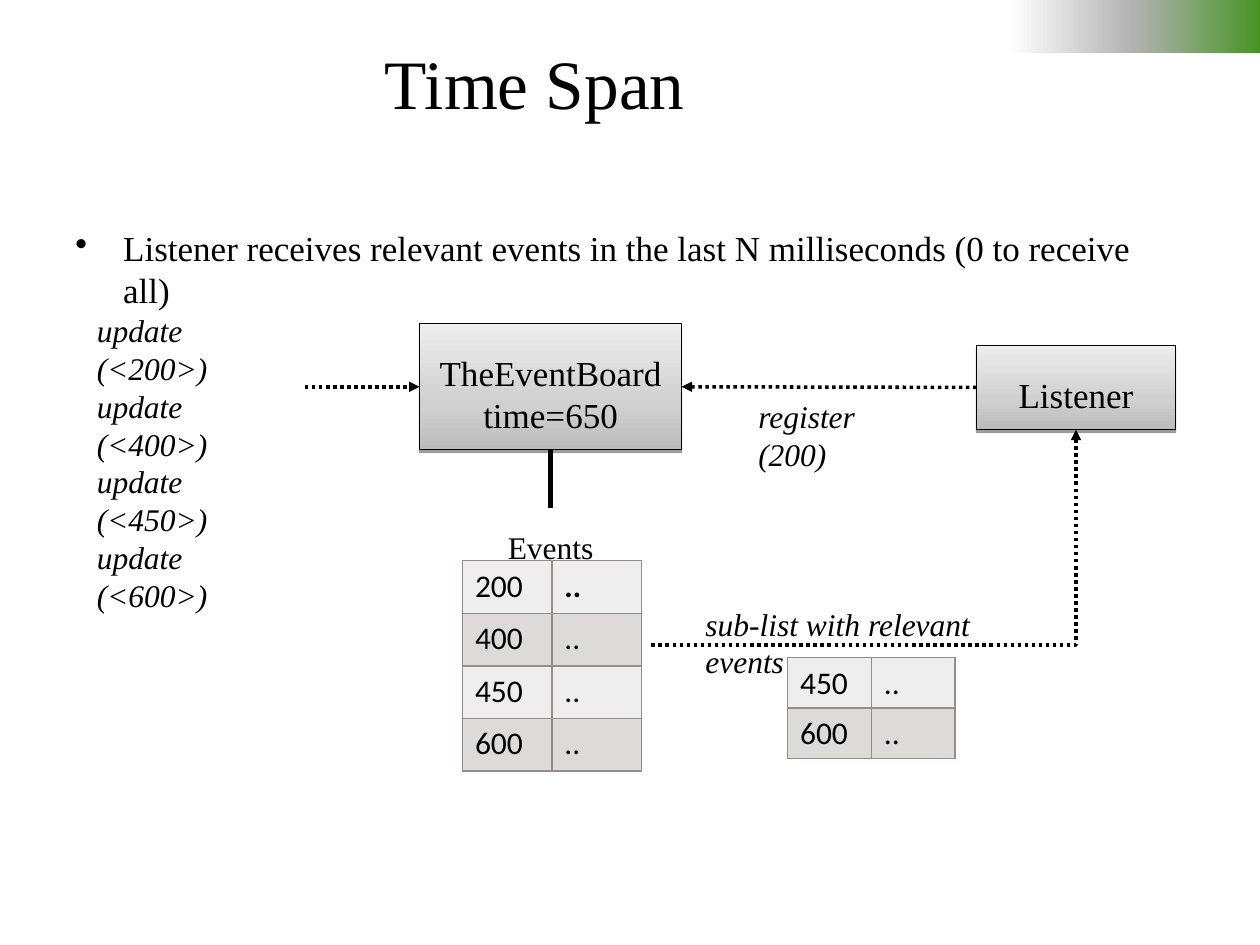
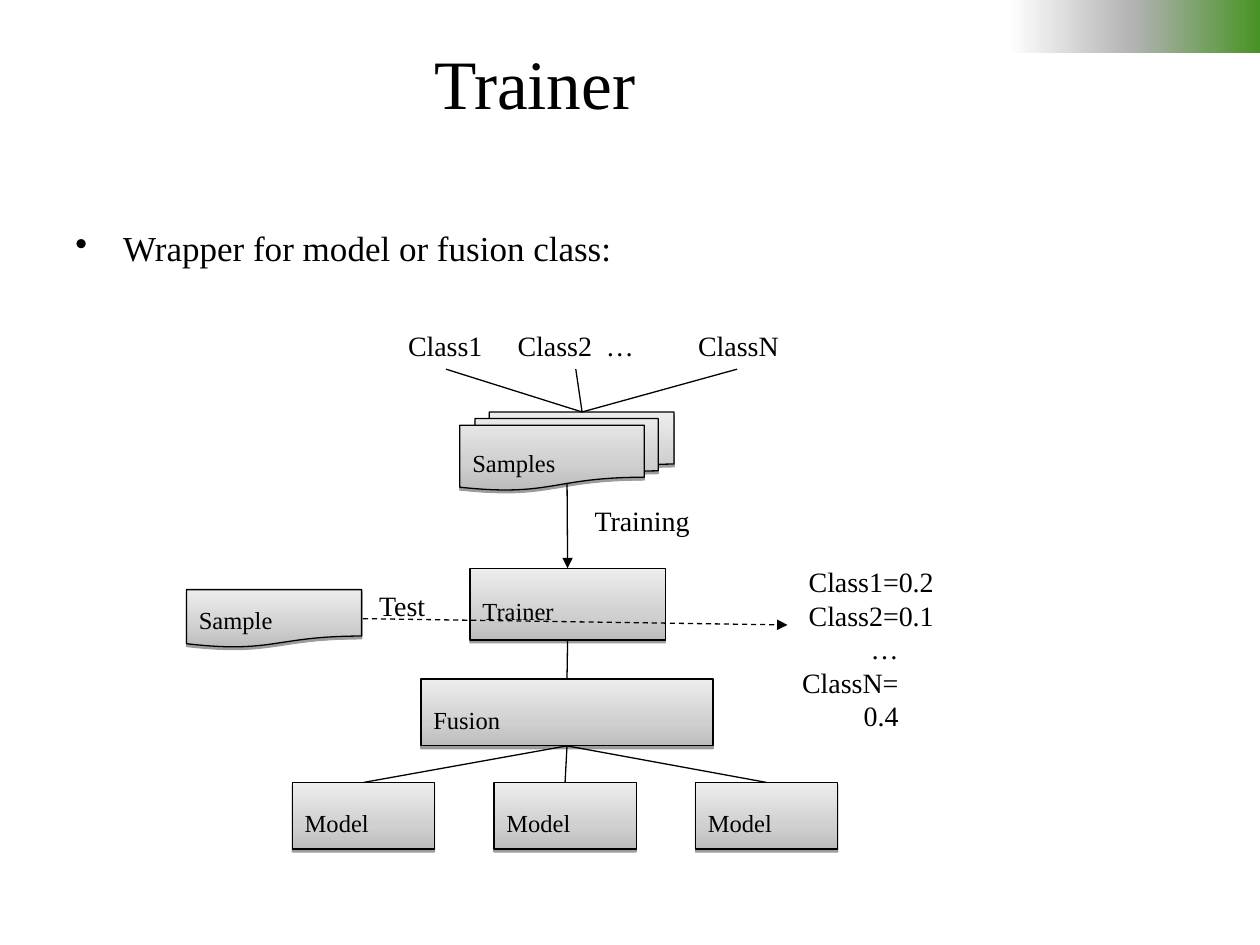
from pptx import Presentation
from pptx import util as u
from pptx.dml.color import RGBColor
from pptx.enum import dml, shapes, text
from pptx.oxml import parse_xml
from pptx.oxml.ns import nsdecls, qn

SERIF, SANS = "Times New Roman", "Calibri"
BLACK, WHITE, EDGE = "000000", "FFFFFF", "968C8C"
ROWS = ("EFEEEE", "DDDADA")
BAND = [(80, WHITE), (90, "B2B2B2"), (100, "489324")]
STEEL = [(0, "BCBCBC"), (35, "D0D0D0"), (100, "EDEDED")]
LEFT, MID, RIGHT = text.PP_ALIGN.LEFT, text.PP_ALIGN.CENTER, text.PP_ALIGN.RIGHT
RECT = shapes.MSO_SHAPE.RECTANGLE
DOC, DOCS = shapes.MSO_SHAPE.FLOWCHART_DOCUMENT, shapes.MSO_SHAPE.FLOWCHART_MULTIDOCUMENT
DOT, DASH = dml.MSO_LINE.ROUND_DOT, dml.MSO_LINE.DASH
DEEP = 0.16

SPAN = {
    "title": "Time Span",
    "point": "Listener receives relevant events in the last N milliseconds (0 to receive all)",
    "board": (["TheEventBoard", "time=650"], (3.33, 2.57, 2.08, 1)),
    "hearer": (["Listener"], (7.75, 2.74, 1.58, 0.67)),
    "events": (["200", "400", "450", "600"], (3.67, 4.45, 1.42, 1.67)),
    "recent": (["450", "600"], (6.25, 5.22, 1.33, 0.8)),
    "notes": [
        (["register (200)"], (5.92, 3.1, 1.5, 0.4)),
        ([f"update (<{n}>)" for n in (200, 400, 450, 600)], (0.67, 2.42, 1.76, 1.31)),
        (["sub-list with relevant events"], (5.5, 4.75, 2.91, 0.4)),
    ],
}
TRAIN = {
    "title": "Trainer",
    "point": "Wrapper for model or fusion class:",
    "boxes": {
        "Samples": (DOCS, (3.65, 3.27, 1.7, 0.62)),
        "Sample": (DOC, (1.48, 4.68, 1.39, 0.46)),
        "Trainer": (RECT, (3.73, 4.51, 1.55, 0.57)),
        "Fusion": (RECT, (3.34, 5.39, 2.32, 0.53)),
    },
    "model": ("Model", 3, 1.6, (2.32, 6.21, 1.13, 0.53)),
    "labels": [
        (["Training"], (4.62, 3.84, 0.98, 0.48), LEFT),
        (["Test"], (2.91, 4.51, 0.59, 0.48), LEFT),
        (["Class1"], (3.14, 2.45, 0.8, 0.48), LEFT),
        (["Class2\t…"], (4.01, 2.45, 1.24, 0.48), LEFT),
        (["ClassN"], (5.42, 2.45, 0.86, 0.48), RIGHT),
    ],
    "scores": (["Class1=0.2", "Class2=0.1", "…", "ClassN=0.4"], (6.25, 4.32, 1.26, 1.29), RIGHT),
    "feeds": [3.54, 4.57, 5.85],
}


def color(code):
    return RGBColor.from_string(code)


def spot(area):
    return [u.Inches(n) for n in area]


def edge(area, across, down):
    x, y, w, h = area
    return x + w * across, y + h * down


def write(shape, lines, size, align=LEFT, anchor=text.MSO_ANCHOR.TOP, top=0.05, italic=False):
    frame = shape.text_frame
    frame.word_wrap = True
    frame.vertical_anchor = anchor
    frame.margin_top = u.Inches(top)
    frame.text = "\n".join(lines)
    for para in frame.paragraphs:
        para.alignment = align
        style(para, size, SERIF, italic)
    return frame.paragraphs


def style(para, size, face, italic=False):
    font = para.font
    font.size, font.name, font.italic = u.Pt(size), face, italic
    font.color.rgb = color(BLACK)


def label(slide, lines, area, size, **opts):
    return write(slide.shapes.add_textbox(*spot(area)), lines, size, **opts)


def shade(shape, stops, angle):
    shape.shadow.inherit = False
    shape.fill.gradient()
    shape.fill.gradient_angle = angle
    items = "".join(
        f'<a:gs pos="{pos * 1000}"><a:srgbClr val="{code}"/></a:gs>' for pos, code in stops)
    old = next(shape.element.iter(qn("a:gsLst")))
    old.getparent().replace(old, parse_xml(f'<a:gsLst {nsdecls("a")}>{items}</a:gsLst>'))


def box(slide, lines, area, size, align=LEFT, kind=RECT):
    shape = slide.shapes.add_shape(kind, *spot(area))
    shade(shape, STEEL, 90)
    shape.line.color.rgb = color(BLACK)
    shape.line.width = u.Pt(0.75)
    shape.element.spPr.find(qn("a:effectLst")).append(parse_xml(
        f'<a:outerShdw {nsdecls("a")} blurRad="0" dist="{u.Pt(1.6)}" dir="5400000" rotWithShape="0">'
        f'<a:srgbClr val="{BLACK}"><a:alpha val="38000"/></a:srgbClr></a:outerShdw>'))
    write(shape, lines, size, align, text.MSO_ANCHOR.MIDDLE, DEEP)


def link(slide, start, end, width=0.75, dash=None, arrow=False, bent=False):
    kind = shapes.MSO_CONNECTOR.ELBOW if bent else shapes.MSO_CONNECTOR.STRAIGHT
    wire = slide.shapes.add_connector(kind, *spot(start + end))
    wire.line.color.rgb = color(BLACK)
    wire.line.width = u.Pt(width)
    wire.line.dash_style = dash
    props = wire.element.spPr
    if bent:
        props.find(qn("a:prstGeom")).set("prst", "bentConnector2")
    if arrow:
        props.find(qn("a:ln")).append(parse_xml(f'<a:tailEnd {nsdecls("a")} type="triangle"/>'))
    props.append(parse_xml(f'<a:effectLst {nsdecls("a")}/>'))


def border(cell):
    props = cell._tc.get_or_add_tcPr()
    for at, side in enumerate(("lnL", "lnR", "lnT", "lnB")):
        props.insert(at, parse_xml(
            f'<a:{side} {nsdecls("a")} w="{u.Pt(1)}"><a:solidFill>'
            f'<a:srgbClr val="{EDGE}"/></a:solidFill></a:{side}>'))


def grid(slide, times, area):
    table = slide.shapes.add_table(len(times), 2, *spot(area)).table
    table.first_row = table.horz_banding = False
    for row, time in enumerate(times):
        for col, word in enumerate((time, "..")):
            cell = table.cell(row, col)
            cell.text = word
            cell.fill.solid()
            cell.fill.fore_color.rgb = color(ROWS[row % 2])
            border(cell)
            style(cell.text_frame.paragraphs[0], 18, SANS)
    return table


def page(deck, data):
    slide = deck.slides.add_slide(deck.slide_layouts[6])
    band = slide.shapes.add_shape(RECT, *spot((0, 0, 10, 0.42)))
    shade(band, BAND, 0)
    band.line.fill.background()
    label(slide, [data["title"]], (1.33, 0.3, 5.83, 0.7), 39.6,
          align=MID, anchor=text.MSO_ANCHOR.MIDDLE)
    para = label(slide, [data["point"]], (0.5, 1.75, 9, 0.5), 20)[0]
    props = para._p.get_or_add_pPr()
    props.set("marL", str(u.Inches(0.38)))
    props.set("indent", str(u.Inches(-0.38)))
    props.insert(0, parse_xml(f'<a:buChar {nsdecls("a")} char="•"/>'))
    return slide


def span(deck):
    slide = page(deck, SPAN)
    board, hearer = SPAN["board"][1], SPAN["hearer"][1]
    for name in ("board", "hearer"):
        box(slide, *SPAN[name], 20, MID)
    label(slide, ["Events"], (3.58, 4.03, 1.58, 0.48), 18, align=MID, top=DEEP)
    foot = edge(board, 0.5, 1)
    link(slide, foot, (foot[0], 4.03), 3)
    grid(slide, *SPAN["events"]).cell(0, 1).text_frame.paragraphs[0].font.bold = True
    level = edge(board, 0, 0.5)
    link(slide, (5.17, 5.12), edge(hearer, 0.5, 1), 2, DOT, True, True)
    link(slide, edge(hearer, 0, 0.5), edge(board, 1, 0.5), 2, DOT, True)
    link(slide, (2.42, level[1]), level, 2, DOT, True)
    for lines, area in SPAN["notes"]:
        label(slide, lines, area, 18, italic=True)
    grid(slide, *SPAN["recent"])


def train(deck):
    slide = page(deck, TRAIN)
    boxes = TRAIN["boxes"]
    coach, fusion = boxes["Trainer"][1], boxes["Fusion"][1]
    link(slide, (4.5, 3.76), edge(coach, 0.5, 0), arrow=True)
    for name, (kind, area) in boxes.items():
        box(slide, [name], area, 14, kind=kind)
    link(slide, edge(coach, 0.5, 1), edge(fusion, 0.5, 0))
    name, count, step, (x, y, w, h) = TRAIN["model"]
    for i in range(count):
        area = (x + i * step, y, w, h)
        box(slide, [name], area, 14)
        link(slide, edge(fusion, 0.5, 1), edge(area, 0.5, 0))
    for end in TRAIN["feeds"]:
        link(slide, (4.62, 3.27), (end, 2.93))
    link(slide, (2.88, 4.91), (6.25, 4.96), dash=DASH, arrow=True)
    for lines, area, align in TRAIN["labels"]:
        para = label(slide, lines, area, 16, align=align, top=DEEP)[0]
        if "\t" in lines[0]:
            para._p.get_or_add_pPr().insert(0, parse_xml(
                f'<a:tabLst {nsdecls("a")}><a:tab pos="{u.Inches(0.7)}" algn="l"/></a:tabLst>'))
    lines, area, align = TRAIN["scores"]
    dots = label(slide, lines, area, 16, align=align, top=DEEP)[2]
    dots._p.get_or_add_pPr().set("marR", str(u.Inches(0.28)))


def main():
    deck = Presentation()
    deck.slide_width, deck.slide_height = u.Inches(10), u.Inches(7.5)
    span(deck)
    train(deck)
    deck.save("out.pptx")


if __name__ == "__main__":
    main()
